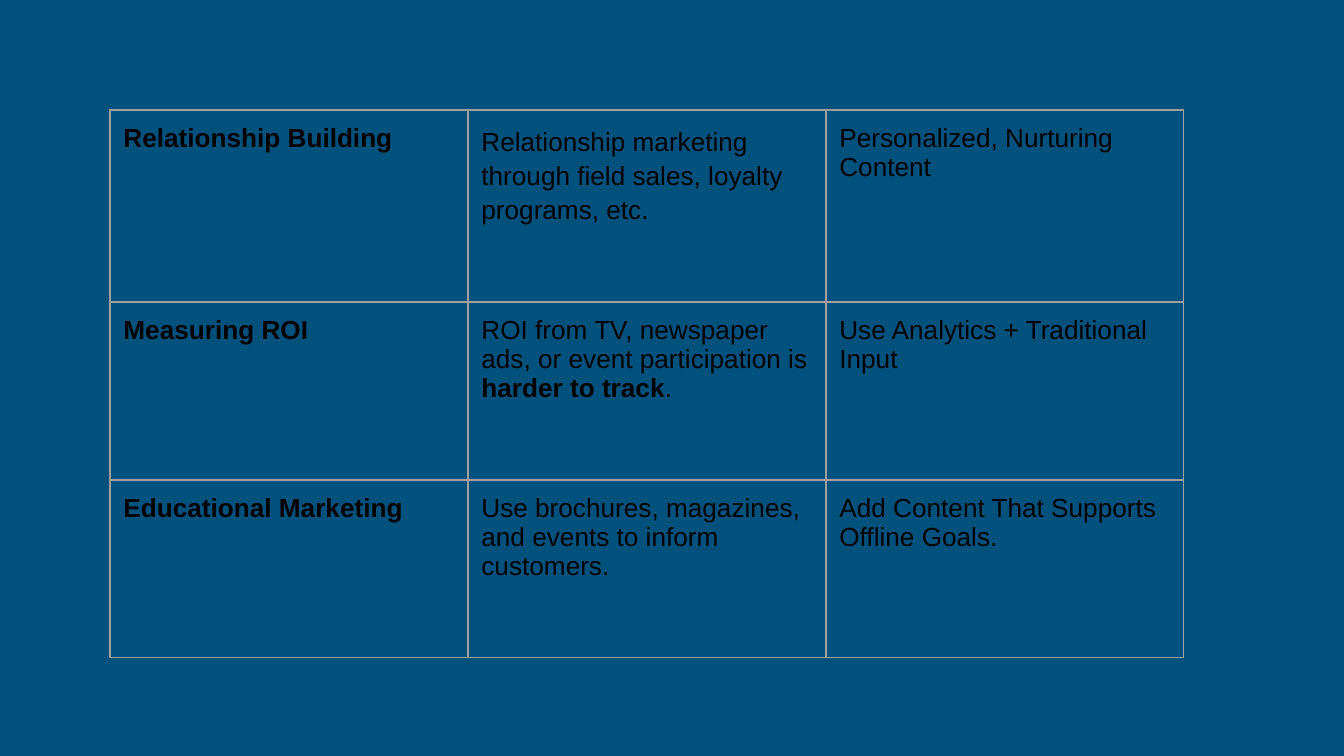
from lxml import etree
from pptx import Presentation
from pptx import util as u
from pptx.dml.color import RGBColor
from pptx.oxml.ns import qn

ROWS = [
    ("**Relationship Building**",
     "Relationship marketing through field sales, loyalty programs, etc.",
     "Personalized, Nurturing Content"),
    ("**Measuring ROI**",
     "ROI from TV, newspaper ads, or event participation is **harder to track**.",
     "Use Analytics + Traditional Input"),
    ("**Educational Marketing**",
     "Use brochures, magazines, and events to inform customers.",
     "Add Content That Supports Offline Goals."),
]
HIGHS = [192, 178, 178]
WIDE = 358
LEFT = TOP = 110
PAD = 13.44
BACK, INK, RULE = "00517C", "000000", "9E9E9E"


def px(n):
    return u.Emu(round(n * 914400 / 134.4))


def hue(code):
    return RGBColor.from_string(code)


def frame(cell):
    props = cell._tc.get_or_add_tcPr()
    for side in ("lnL", "lnR", "lnT", "lnB"):
        line = etree.SubElement(props, qn("a:" + side), w=str(u.Pt(0.75)))
        fill = etree.SubElement(line, qn("a:solidFill"))
        etree.SubElement(fill, qn("a:srgbClr"), val=RULE)
    cell.fill.background()


def write(cell, words):
    cell.margin_left = cell.margin_right = px(PAD)
    cell.margin_top = cell.margin_bottom = px(PAD)
    para = cell.text_frame.paragraphs[0]
    para.font.name = "Arial"
    para.font.size = u.Pt(14)
    para.font.color.rgb = hue(INK)
    for i, part in enumerate(words.split("**")):
        if part:
            run = para.add_run()
            run.text = part
            run.font.bold = i % 2 == 1
    return para


deck = Presentation()
deck.slide_width, deck.slide_height = px(1344), px(756)
slide = deck.slides.add_slide(deck.slide_layouts[6])
slide.background.fill.solid()
slide.background.fill.fore_color.rgb = hue(BACK)

count = len(ROWS[0])
table = slide.shapes.add_table(len(ROWS), count, px(LEFT), px(TOP),
                               px(WIDE * count), px(sum(HIGHS))).table
table.first_row = table.horz_banding = False
for col in table.columns:
    col.width = px(WIDE)
for r, (row, high) in enumerate(zip(ROWS, HIGHS)):
    table.rows[r].height = px(high)
    for c, words in enumerate(row):
        cell = table.cell(r, c)
        frame(cell)
        para = write(cell, words)
        if (r, c) == (0, 1):
            para.line_spacing = 1.15
            para.space_before = para.space_after = u.Pt(12)

deck.save("out.pptx")
